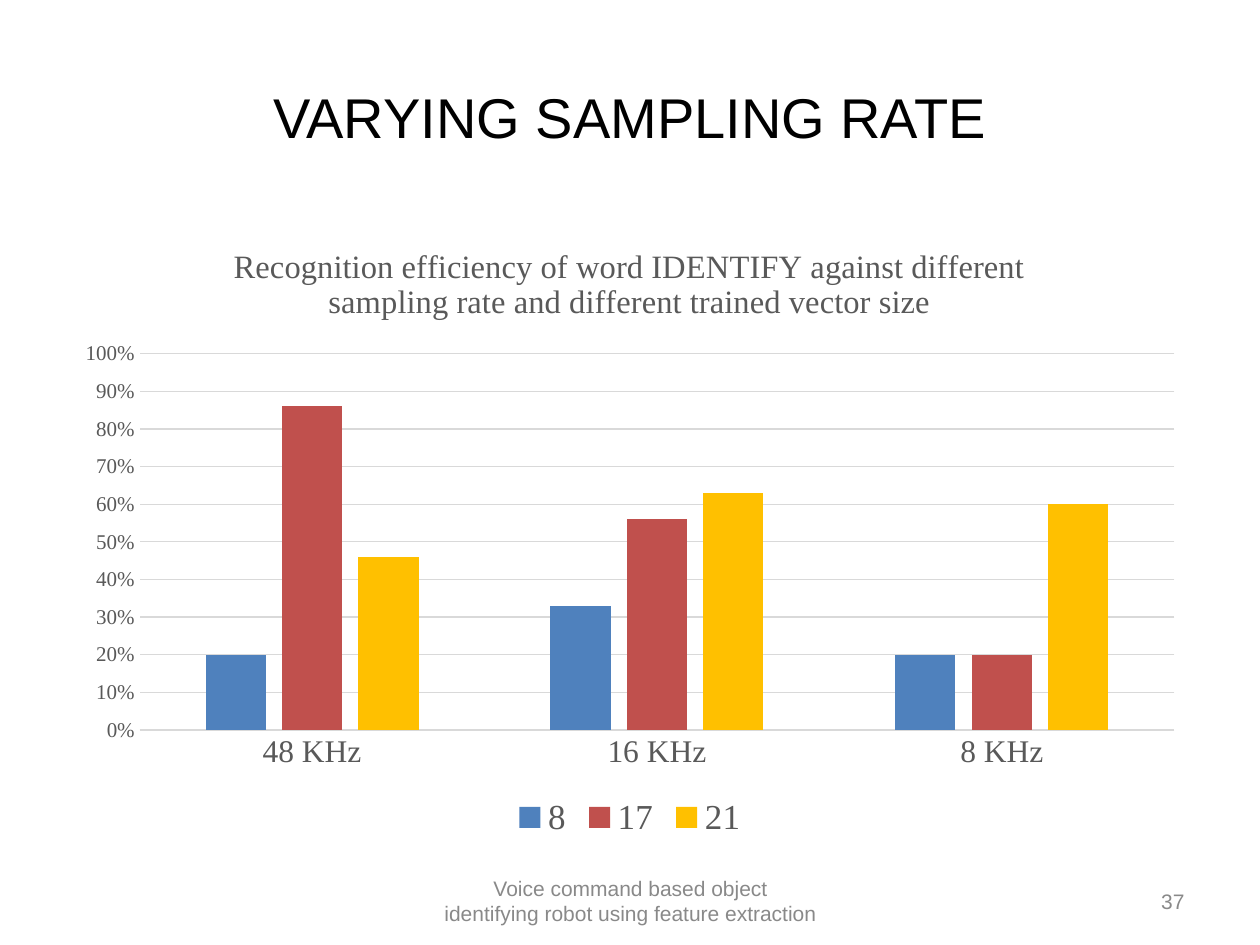
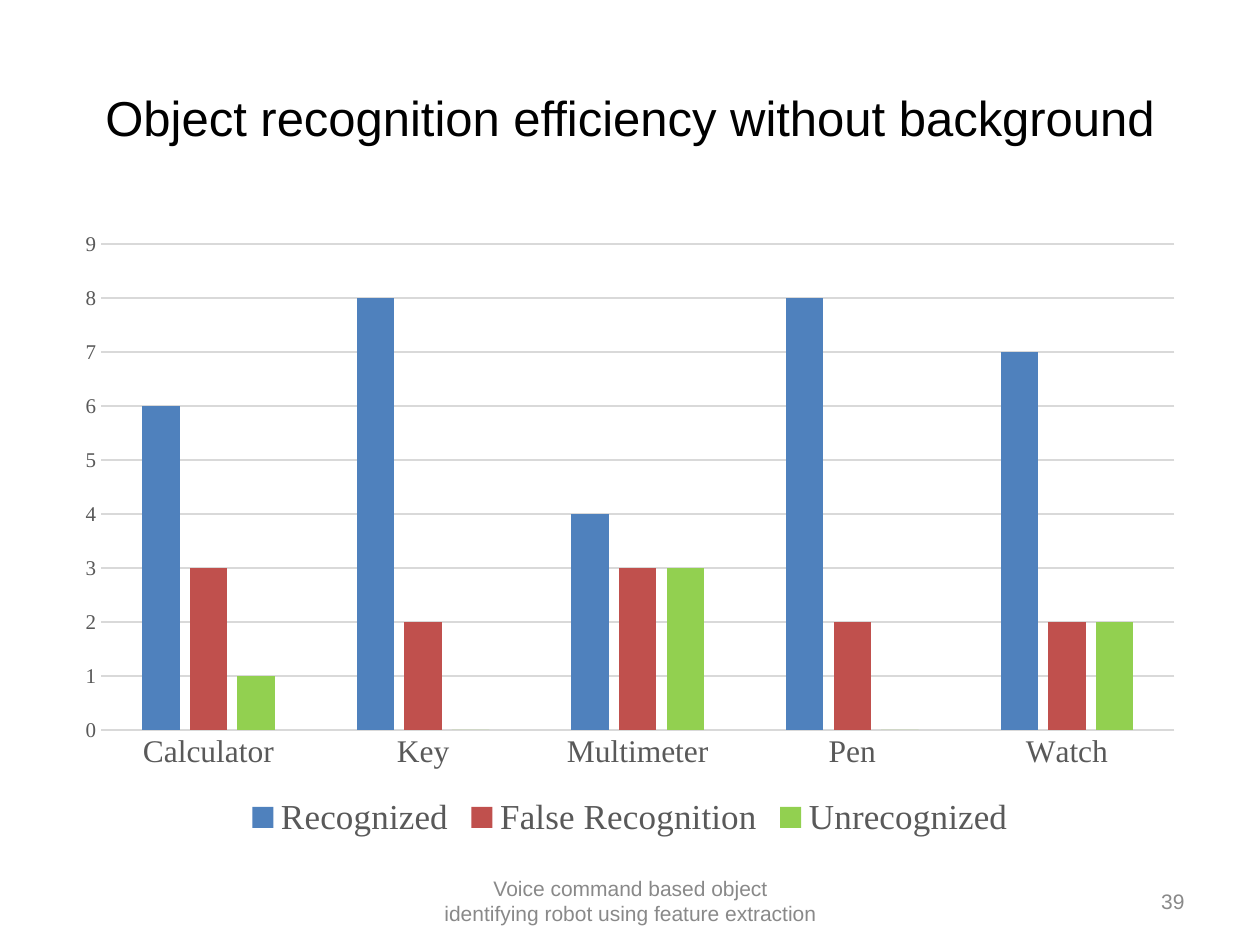
from pptx import Presentation
from pptx.chart.data import CategoryChartData
from pptx.dml.color import RGBColor
from pptx.enum.chart import XL_CHART_TYPE, XL_LEGEND_POSITION, XL_TICK_MARK
from pptx.enum.text import MSO_ANCHOR, PP_ALIGN
from pptx.util import Inches, Pt

COLUMNS = XL_CHART_TYPE.COLUMN_CLUSTERED
LEGEND_BOTTOM = XL_LEGEND_POSITION.BOTTOM
NO_TICK = XL_TICK_MARK.NONE
MIDDLE = MSO_ANCHOR.MIDDLE
CENTER, RIGHT = PP_ALIGN.CENTER, PP_ALIGN.RIGHT

TEXT_FONT, CHART_FONT = "Arial", "Times New Roman"
BLACK, FOOTER_GRAY, LABEL_GRAY, GRID_GRAY = "000000", "898989", "595959", "D9D9D9"
BLUE, RED, AMBER, GREEN = "4F81BD", "C0504D", "FFC000", "92D050"

TITLE_BOX = (0.5, 0.3, 9, 1.25)
CHART_BOX = (0.5, 1.75, 9, 4.95)
FOOTER_BOX = (3.42, 6.95, 3.17, 0.4)
NUMBER_BOX = (7.17, 6.95, 2.33, 0.4)
FOOTER = "Voice command based object identifying robot using feature extraction"


def rgb(hex_color):
    """Turn a hex string into a colour."""
    return RGBColor.from_string(hex_color)


def style_font(font, name, size, color):
    """Set the typeface, size and colour of a font."""
    font.name = name
    font.size = Pt(size)
    font.color.rgb = rgb(color)


def style_line(line, color):
    """Give a chart line its thin solid stroke."""
    line.color.rgb = rgb(color)
    line.width = Pt(0.75)


def add_text(slide, box, text, size, color, alignment):
    """Add one vertically centred paragraph in a box."""
    shape = slide.shapes.add_textbox(*map(Inches, box))
    frame = shape.text_frame
    frame.word_wrap = True
    frame.vertical_anchor = MIDDLE
    paragraph = frame.paragraphs[0]
    paragraph.text = text
    paragraph.alignment = alignment
    style_font(paragraph.font, TEXT_FONT, size, color)


def style_axes(chart, number_format):
    """Style the category and value axes."""
    for axis, size in ((chart.category_axis, 18), (chart.value_axis, 12)):
        axis.major_tick_mark = axis.minor_tick_mark = NO_TICK
        style_font(axis.tick_labels.font, CHART_FONT, size, LABEL_GRAY)
    style_line(chart.category_axis.format.line, GRID_GRAY)
    value_axis = chart.value_axis
    value_axis.format.line.fill.background()
    style_line(value_axis.major_gridlines.format.line, GRID_GRAY)
    value_axis.tick_labels.number_format = number_format
    value_axis.tick_labels.number_format_is_linked = False


def add_column_chart(slide, box, categories, series_list, number_format, heading):
    """Add a clustered column chart with a legend below it."""
    data = CategoryChartData(number_format=number_format)
    data.categories = categories
    for name, values, _ in series_list:
        data.add_series(name, values)
    chart = slide.shapes.add_chart(COLUMNS, *map(Inches, box), data).chart
    style_font(chart.font, CHART_FONT, 10, BLACK)
    style_axes(chart, number_format)

    chart.has_title = heading is not None
    if heading:
        paragraph = chart.chart_title.text_frame.paragraphs[0]
        paragraph.text = heading
        style_font(paragraph.font, CHART_FONT, 18.6, LABEL_GRAY)
        paragraph.font.bold = False
        chart.chart_title.include_in_layout = False

    chart.has_legend = True
    chart.legend.position = LEGEND_BOTTOM
    chart.legend.include_in_layout = False
    style_font(chart.legend.font, CHART_FONT, 20, LABEL_GRAY)

    plot = chart.plots[0]
    plot.gap_width, plot.overlap = 219, -27
    plot.vary_by_categories = False
    for series, (_, _, color) in zip(plot.series, series_list):
        series.format.fill.solid()
        series.format.fill.fore_color.rgb = rgb(color)


def add_chart_slide(presentation, title, title_size, number, categories,
                    series_list, number_format="General", heading=None):
    """Add a slide with a title, a chart, a footer and a number."""
    slide = presentation.slides.add_slide(presentation.slide_layouts[6])
    add_text(slide, TITLE_BOX, title, title_size, BLACK, CENTER)
    add_column_chart(slide, CHART_BOX, categories, series_list, number_format, heading)
    add_text(slide, NUMBER_BOX, number, 12, FOOTER_GRAY, RIGHT)
    add_text(slide, FOOTER_BOX, FOOTER, 12, FOOTER_GRAY, CENTER)


def main():
    """Build and save both slides."""
    presentation = Presentation()
    presentation.slide_width, presentation.slide_height = Inches(10), Inches(7.5)
    add_chart_slide(
        presentation, "VARYING SAMPLING RATE", 32, "37",
        ["48 KHz", "16 KHz", "8 KHz"],
        [("8", (0.2, 0.33, 0.2), BLUE),
         ("17", (0.86, 0.56, 0.2), RED),
         ("21", (0.46, 0.63, 0.6), AMBER)],
        number_format="0%",
        heading="Recognition efficiency of word IDENTIFY against different "
                "sampling rate and different trained vector size")
    add_chart_slide(
        presentation, "Object recognition efficiency without background", 28, "39",
        ["Calculator", "Key", "Multimeter", "Pen", "Watch"],
        [("Recognized", (6, 8, 4, 8, 7), BLUE),
         ("False Recognition", (3, 2, 3, 2, 2), RED),
         ("Unrecognized", (1, 0, 3, 0, 2), GREEN)])
    presentation.save("out.pptx")


if __name__ == "__main__":
    main()
